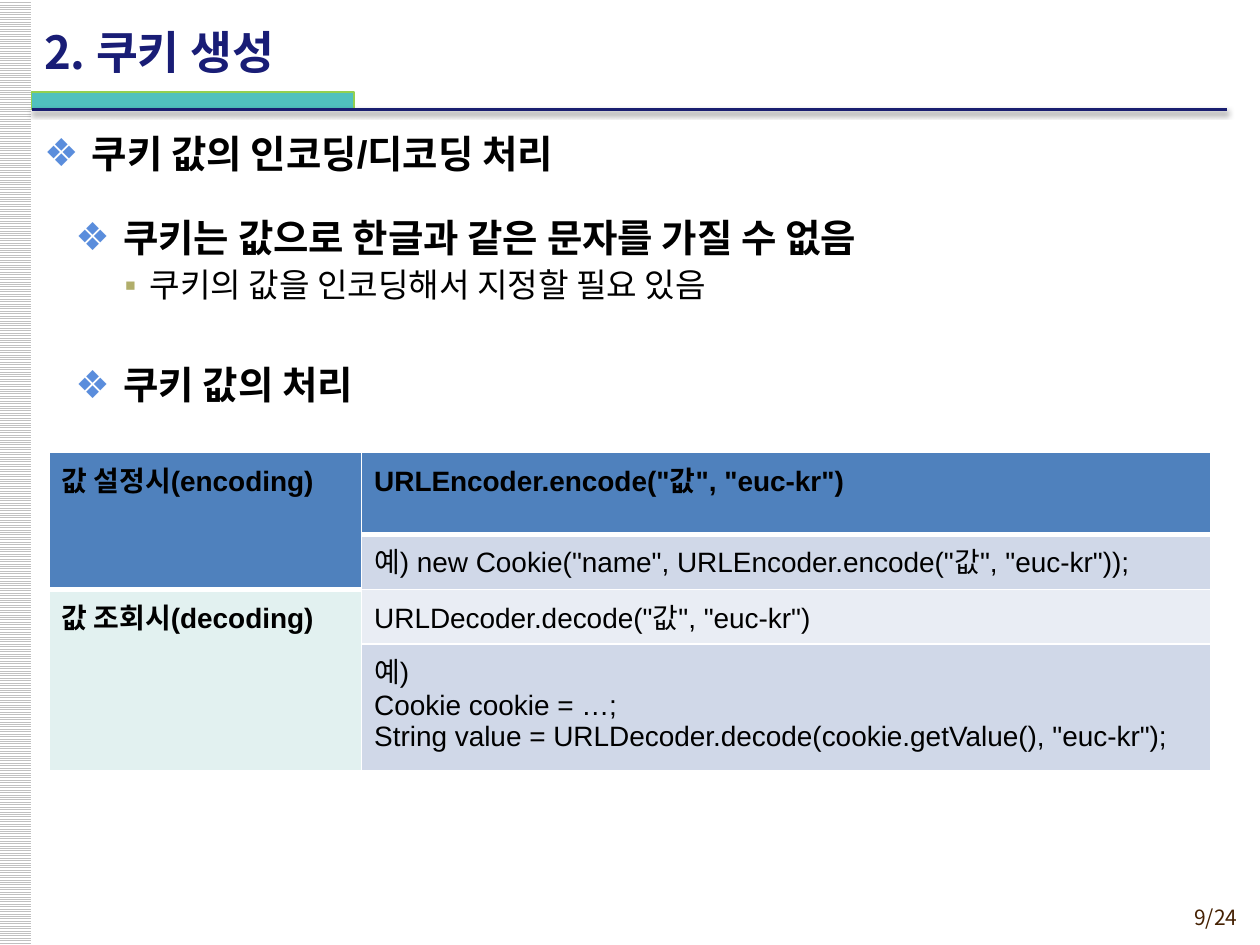
from lxml.etree import SubElement
from pptx import Presentation
from pptx.dml.color import RGBColor
from pptx.enum.dml import MSO_PATTERN
from pptx.enum.shapes import MSO_CONNECTOR, MSO_SHAPE
from pptx.enum.text import MSO_ANCHOR, MSO_AUTO_SIZE, PP_ALIGN
from pptx.oxml.ns import qn
from pptx.util import Inches, Pt

KOREAN = "Noto Sans CJK KR"
NAVY, BLACK, WHITE = "191D76", "000000", "FFFFFF"
DIAMOND = dict(bullet=("❖", "5A8DDC"), indent=0.38, hang=0.38, size=22, bold=True)
SQUARE = dict(bullet=("▪", "B1AE6B"), indent=0.59, hang=0.2, size=19, level=1)


def color(value):
    return RGBColor.from_string(value)


def inches(*lengths):
    return [Inches(length) for length in lengths]


def add(parent, tag, **attributes):
    return SubElement(parent, qn(tag), attributes)


def write(para, text, size=16, font="Arial", ink=BLACK, bold=False,
          align=PP_ALIGN.LEFT, bullet=None, indent=0, hang=0, level=0,
          before=0, after=0, spacing=1.0):
    para.text = text
    para.alignment, para.level = align, level
    para.line_spacing = spacing
    para.space_before, para.space_after = Pt(before), Pt(after)
    props = para._p.get_or_add_pPr()
    props.set("marL", str(Inches(indent)))
    props.set("indent", str(-Inches(hang)))
    if bullet:
        mark, mark_color = bullet
        add(add(props, "a:buClr"), "a:srgbClr", val=mark_color)
        add(props, "a:buFont", typeface="Arial")
        add(props, "a:buChar", char=mark)
    else:
        add(props, "a:buNone")
    for span in para.runs:
        span.font.size, span.font.bold, span.font.name = Pt(size), bold, font
        span.font.color.rgb = color(ink)
        add(span._r.get_or_add_rPr(), "a:ea", typeface=KOREAN)


def place(shape, box):
    shape.left, shape.top, shape.width, shape.height = inches(*box)


def add_rectangle(page, box):
    shape = page.shapes.add_shape(MSO_SHAPE.RECTANGLE, *inches(*box))
    shape.shadow.inherit = False
    return shape


def add_side_strip(page, box):
    strip = add_rectangle(page, box)
    strip.fill.patterned()
    strip.fill.pattern = MSO_PATTERN.LIGHT_HORIZONTAL
    strip.fill.fore_color.rgb = color("C0C0C0")
    strip.fill.back_color.rgb = color(WHITE)
    strip.line.fill.background()


def add_header_rule(page, box):
    left, top, width, height = box
    # Teal tab
    tab = add_rectangle(page, (left, top, 2.56, height))
    tab.fill.solid()
    tab.fill.fore_color.rgb = color("50C1BE")
    tab.line.color.rgb, tab.line.width = color("92D050"), Pt(0.75)
    # Navy rule with a soft shadow
    bottom = top + height
    rule = page.shapes.add_connector(
        MSO_CONNECTOR.STRAIGHT, *inches(left, bottom, left + width, bottom))
    rule.line.color.rgb, rule.line.width = color("191E70"), Pt(2)
    effects = add(rule._element.spPr, "a:effectLst")
    shadow = add(effects, "a:outerShdw", blurRad=str(Pt(3.1)), dist=str(Pt(1.6)),
                 dir="5400000", rotWithShape="0")
    add(add(shadow, "a:srgbClr", val=BLACK), "a:alpha", val="38000")


def add_title(page, box):
    title = page.shapes.title
    place(title, box)
    frame = title.text_frame
    frame.auto_size = MSO_AUTO_SIZE.NONE
    frame.vertical_anchor = MSO_ANCHOR.MIDDLE
    write(frame.paragraphs[0], "2. 쿠키 생성", size=26, font=KOREAN, ink=NAVY, bold=True)


def fill_list(shape, items):
    frame = shape.text_frame
    frame.word_wrap, frame.auto_size = True, MSO_AUTO_SIZE.NONE
    frame.vertical_anchor = MSO_ANCHOR.TOP
    for index, (text, before, style) in enumerate(items):
        para = frame.add_paragraph() if index else frame.paragraphs[0]
        write(para, text, before=before, after=1, spacing=0.9, **style)


def add_topic(page, box):
    body = page.placeholders[1]
    place(body, box)
    fill_list(body, [("쿠키 값의 인코딩/디코딩 처리", 0, DIAMOND)])


def add_points(page, box):
    fill_list(page.shapes.add_textbox(*inches(*box)), [
        ("쿠키는 값으로 한글과 같은 문자를 가질 수 없음", 0, DIAMOND),
        ("쿠키의 값을 인코딩해서 지정할 필요 있음", 3.8, SQUARE),
        ("쿠키 값의 처리", 34, DIAMOND),
    ])


def set_borders(cell, **widths):
    props = cell._tc.get_or_add_tcPr()
    for side in "LRTB":
        line = add(props, f"a:ln{side}", w=str(Pt(widths.get(side, 1))))
        add(add(line, "a:solidFill"), "a:srgbClr", val=WHITE)


def fill_cell(cell, lines, fill, bold):
    cell.fill.solid()
    cell.fill.fore_color.rgb = color(fill)
    frame = cell.text_frame
    for index, text in enumerate(lines):
        para = frame.add_paragraph() if index else frame.paragraphs[0]
        write(para, text, bold=bold)


def add_code_table(page, box):
    columns, rows = (2.48, 6.74), (0.65, 0.44, 0.43, 1.01)
    table = page.shapes.add_table(len(rows), len(columns), *inches(*box)).table
    table.first_row = table.horz_banding = False
    for column, width in zip(table.columns, columns):
        column.width = Inches(width)
    for row, height in zip(table.rows, rows):
        row.height = Inches(height)
    for index, row in enumerate(table.rows):
        for side, cell in enumerate(row.cells):
            thick_top = index == 1 and side == 1
            thick_bottom = index == 0 or (index == 1 and side == 0)
            set_borders(cell, T=3 if thick_top else 1, B=3 if thick_bottom else 1)

    # Row headings, each over two rows
    headings = [("값 설정시(encoding)", "4F81BD"), ("값 조회시(decoding)", "E2F1F0")]
    for index, (text, fill) in enumerate(headings):
        top = 2 * index
        table.cell(top, 0).merge(table.cell(top + 1, 0))
        fill_cell(table.cell(top, 0), [text], fill, True)

    # Calls and examples
    calls = [
        (['URLEncoder.encode("값", "euc-kr")'], "4F81BD"),
        (['예) new Cookie("name", URLEncoder.encode("값", "euc-kr"));'], "D0D8E8"),
        (['URLDecoder.decode("값", "euc-kr")'], "E9EDF4"),
        (["예)", "Cookie cookie = …;\v"
          'String value = URLDecoder.decode(cookie.getValue(), "euc-kr");'], "D0D8E8"),
    ]
    for index, (lines, fill) in enumerate(calls):
        fill_cell(table.cell(index, 1), lines, fill, index == 0)


def add_page_number(page, box):
    frame = page.shapes.add_textbox(*inches(*box)).text_frame
    frame.word_wrap = True
    write(frame.paragraphs[0], "9/24", size=12, font=KOREAN, ink="452103",
          align=PP_ALIGN.RIGHT)


def main():
    deck = Presentation()
    deck.slide_width, deck.slide_height = inches(10, 7.5)
    page = deck.slides.add_slide(deck.slide_layouts[1])
    add_side_strip(page, (-0.01, 0, 0.26, 7.5))
    add_page_number(page, (8.86, 7.13, 1.06, 0.29))
    add_header_rule(page, (0.25, 0.73, 9.49, 0.14))
    add_topic(page, (0.25, 1.02, 9.5, 6.25))
    add_title(page, (0.25, 0.09, 8.27, 0.63))
    add_points(page, (0.5, 1.69, 9, 5.61))
    add_code_table(page, (0.39, 3.59, 9.22, 2.53))
    deck.save("out.pptx")


if __name__ == "__main__":
    main()
